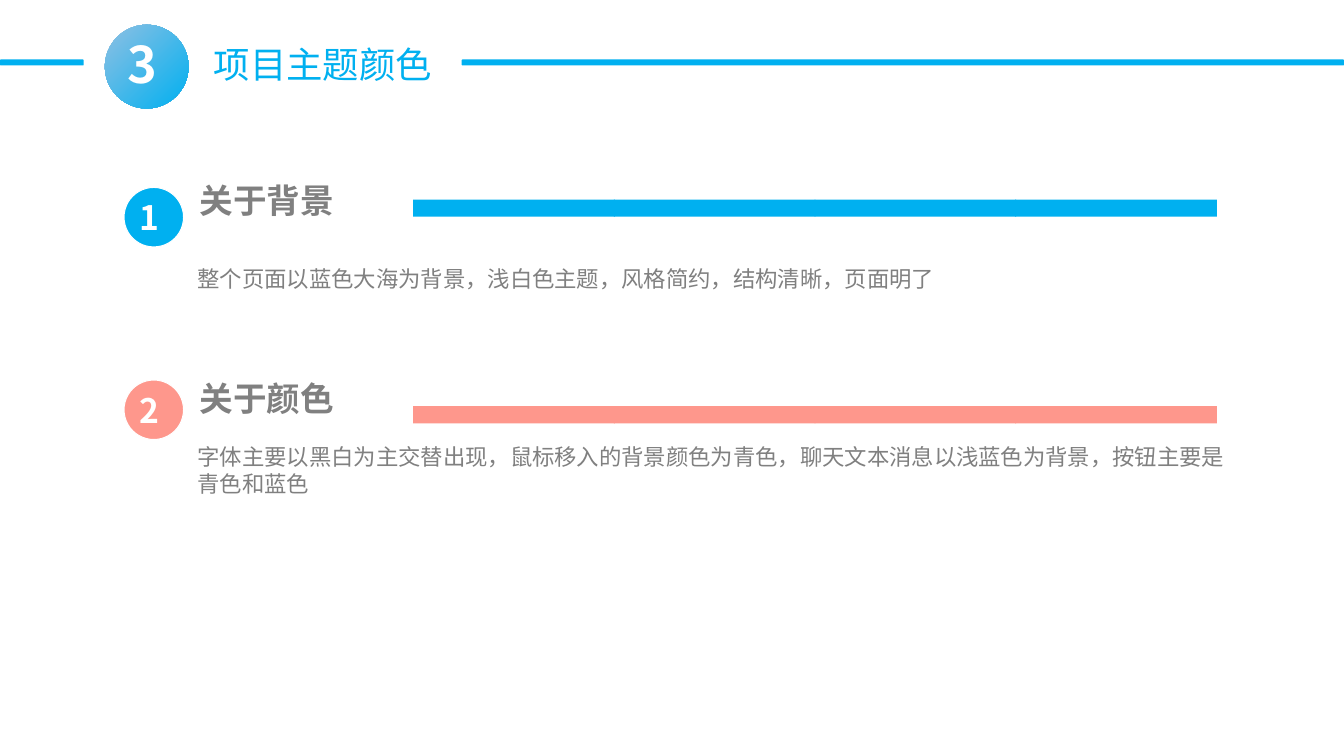
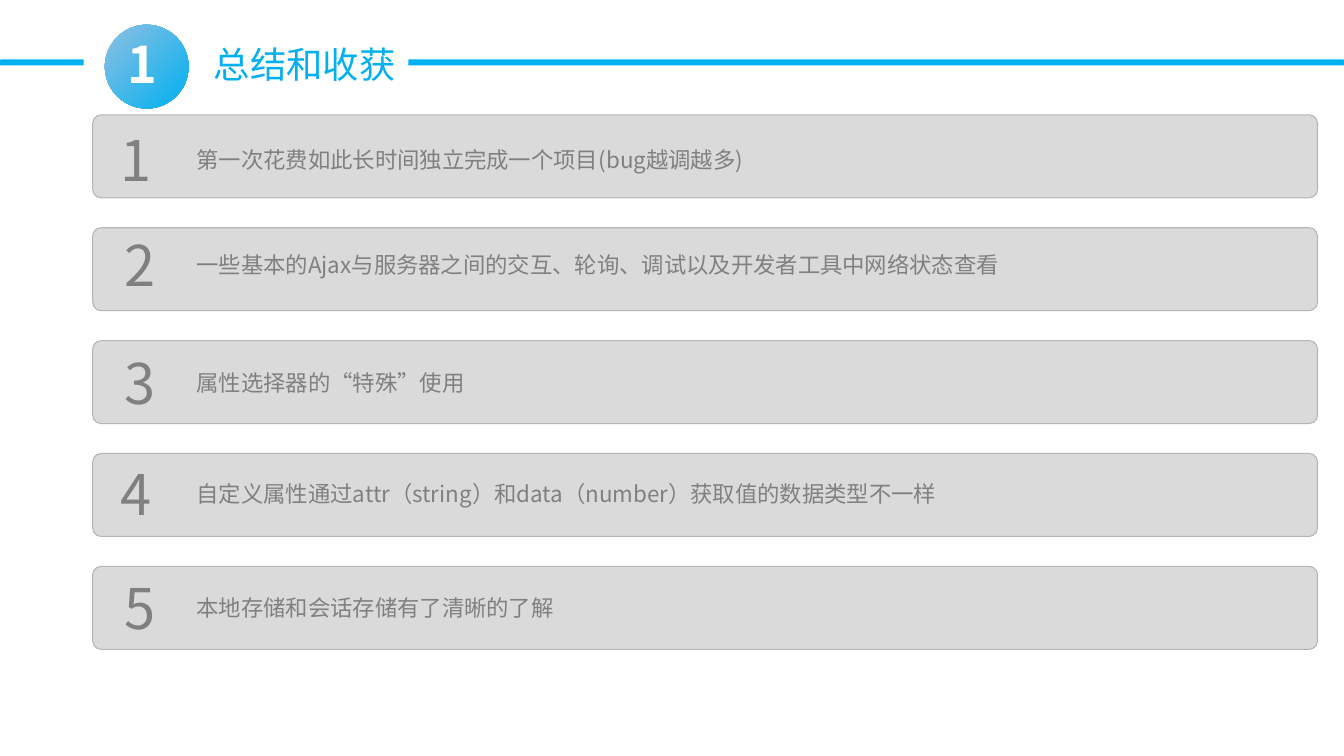
from lxml import etree
from pptx import Presentation
from pptx import util as u
from pptx.dml.color import RGBColor
from pptx.enum import shapes, text
from pptx.oxml import ns

WIDTH, HEIGHT = u.Inches(13.333), u.Inches(7.5)
FONT = "Noto Sans CJK SC"
BLUE = RGBColor(0x00, 0xB0, 0xF0)
PALE_BLUE = RGBColor(0x8F, 0xC0, 0xE3)
CORAL = RGBColor(0xFE, 0x97, 0x8C)
GRAY = RGBColor(0x80, 0x80, 0x80)
CARD_FILL = RGBColor(0xDA, 0xDA, 0xDB)
CARD_LINE = RGBColor(0xB5, 0xB5, 0xB7)
WHITE = RGBColor(0xFF, 0xFF, 0xFF)

SHAPE = shapes.MSO_SHAPE
ALIGN = text.PP_ALIGN
ANCHOR = text.MSO_ANCHOR

# Heading, body, colour, then tops of heading, badge, bar and body
SECTIONS = [
    ("关于背景", "整个页面以蓝色大海为背景，浅白色主题，风格简约，结构清晰，页面明了",
     BLUE, 23.2, 24.8, 26.4, 34.53),
    ("关于颜色", "字体主要以黑白为主交替出现，鼠标移入的背景颜色为青色，"
     "聊天文本消息以浅蓝色为背景，按钮主要是青色和蓝色",
     CORAL, 49.47, 50.27, 53.73, 58.13),
]
# Text, left of the number, drop of the number below the card's top
LESSONS = [
    ("第一次花费如此长时间独立完成一个项目(bug越调越多)", 7.35, 0.93),
    ("一些基本的Ajax与服务器之间的交互、轮询、调试以及开发者工具中网络状态查看", 7.65, -0.13),
    ("属性选择器的“特殊”使用", 7.65, 0.53),
    ("自定义属性通过attr（string）和data（number）获取值的数据类型不一样", 7.35, 0.27),
    ("本地存储和会话存储有了清晰的了解", 7.65, 0.4),
]


def area(left, top, width, height):
    """Turn percentages of the slide's size into lengths."""
    return [round(share * side / 100) for share, side in
            zip((left, top, width, height), (WIDTH, HEIGHT, WIDTH, HEIGHT))]


def write(box, content, size=16, color=GRAY, bold=False, align=ALIGN.LEFT,
          anchor=ANCHOR.TOP, wrap=True, inset=(0.07, 0.04)):
    frame = box.text_frame
    frame.word_wrap = wrap
    frame.auto_size = text.MSO_AUTO_SIZE.NONE
    frame.vertical_anchor = anchor
    frame.margin_left = frame.margin_right = u.Inches(inset[0])
    frame.margin_top = frame.margin_bottom = u.Inches(inset[1])
    para = frame.paragraphs[0]
    para.alignment = align
    span = para.add_run()
    span.text = content
    span.font.name = FONT
    span.font.size = u.Pt(size)
    span.font.bold = bold
    span.font.color.rgb = color
    east_asian = etree.SubElement(span._r.get_or_add_rPr(), ns.qn("a:ea"))
    east_asian.set("typeface", FONT)


def add_text(page, place, content, **style):
    write(page.shapes.add_textbox(*area(*place)), content, **style)


def add_block(page, kind, place, fill=None, line=None, line_width=0.75, corner=None):
    block = page.shapes.add_shape(kind, *area(*place))
    block.shadow.inherit = False
    if fill is not None:
        block.fill.solid()
        block.fill.fore_color.rgb = fill
    if line is None:
        block.line.fill.background()
    else:
        block.line.color.rgb = line
        block.line.width = u.Pt(line_width)
    if corner is not None:
        block.adjustments[0] = corner
    return block


def add_page(deck, number, title, title_width, rule_left):
    """Add a slide with the numbered header between two rules."""
    page = deck.slides.add_slide(deck.slide_layouts[5])
    heading = page.shapes.title
    heading.left, heading.top, heading.width, heading.height = area(
        15.15, 4.93, title_width, 7.2)
    write(heading, title, size=26, color=BLUE, wrap=False, inset=(0.1, 0.05))
    for left, width in ((rule_left, 100 - rule_left), (0, 6.23)):
        add_block(page, SHAPE.ROUNDED_RECTANGLE, (left, 7.87, width, 0.8), BLUE, corner=0.17)
    disc = add_block(page, SHAPE.OVAL, (7.8, 3.27, 6.23, 11.07))
    disc.fill.gradient()
    disc.fill.gradient_angle = 315
    for stop, color in zip(disc.fill.gradient_stops, (PALE_BLUE, BLUE)):
        stop.color.rgb = color
    add_text(page, (5.7, 3.73, 9.83, 9.47), number, size=36, color=WHITE, bold=True,
             align=ALIGN.CENTER, inset=(0.1, 0.05))
    return page


def add_section(page, number, heading, body, color, heading_top, badge_top, bar_top, body_top):
    add_text(page, (14.33, heading_top, 33.45, 6.4), heading, size=24, bold=True)
    add_text(page, (14.18, body_top, 78.38, 8.13), body)
    badge = add_block(page, SHAPE.OVAL, (9.23, badge_top, 4.43, 7.87), color, line=WHITE)
    write(badge, str(number), size=24, color=WHITE, bold=True, anchor=ANCHOR.MIDDLE)
    for segment in range(4):
        add_block(page, SHAPE.RECTANGLE, (30.75 + 14.93 * segment, bar_top, 15, 2.27), color)


def add_lesson(page, number, content, number_left, drop):
    card_top = 15.2 + 14.93 * (number - 1)
    number_top = card_top + drop
    add_block(page, SHAPE.ROUNDED_RECTANGLE, (6.9, card_top, 91.13, 10.97),
              CARD_FILL, line=CARD_LINE, line_width=0, corner=0.1)
    add_text(page, (number_left, number_top, 5.48, 10), str(number), size=40,
             align=ALIGN.CENTER)
    add_text(page, (14.1, number_top + 2.67, 62.25, 4.53), content)


def main():
    deck = Presentation()
    deck.slide_width, deck.slide_height = WIDTH, HEIGHT
    colors_page = add_page(deck, "3", "项目主题颜色", 17.93, 34.35)
    for number, section in enumerate(SECTIONS, 1):
        add_section(colors_page, number, *section)
    summary_page = add_page(deck, "1", "总结和收获", 15.23, 30.38)
    for number, lesson in enumerate(LESSONS, 1):
        add_lesson(summary_page, number, *lesson)
    deck.save("out.pptx")


if __name__ == "__main__":
    main()
